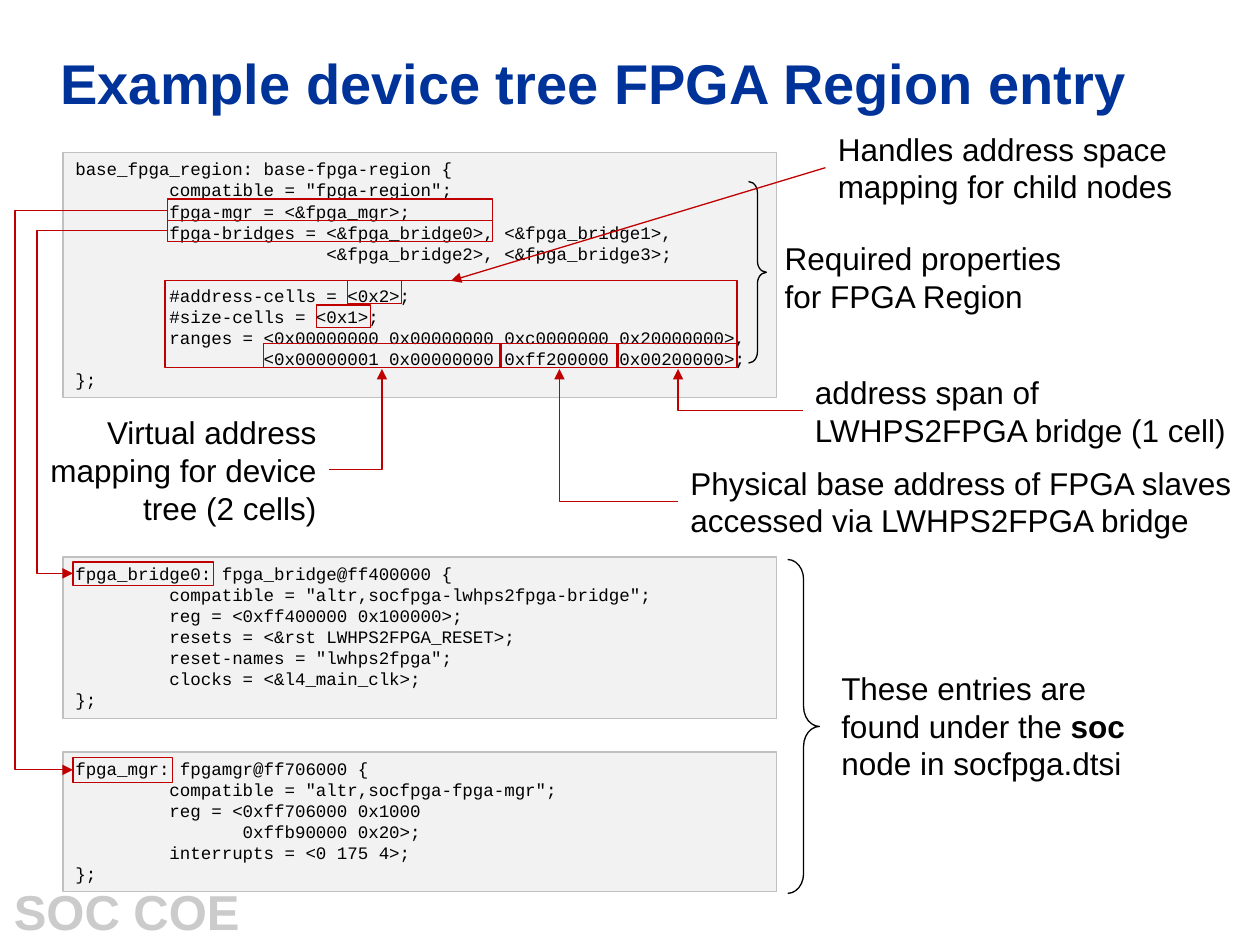
from dataclasses import dataclass

from lxml.etree import SubElement
from pptx import Presentation
from pptx.dml.color import RGBColor
from pptx.enum.shapes import MSO_CONNECTOR, MSO_SHAPE
from pptx.enum.text import MSO_ANCHOR, PP_ALIGN
from pptx.oxml.ns import qn
from pptx.util import Cm, Pt


@dataclass(frozen=True)
class Theme:
    title: str = "003399"
    text: str = "000000"
    footer: str = "CBCBCB"
    panel: str = "F2F2F2"
    panel_line: str = "C0C0C0"
    accent: str = "C00000"
    font: str = "Arial"
    code_font: str = "Courier New"
    title_size: int = 32
    footer_size: int = 28
    note_size: int = 18
    code_size: int = 10
    line_width: float = 0.75


THEME = Theme()

REGION_CODE = """\
base_fpga_region: base-fpga-region {
         compatible = "fpga-region";
         fpga-mgr = <&fpga_mgr>;
         fpga-bridges = <&fpga_bridge0>, <&fpga_bridge1>,
                        <&fpga_bridge2>, <&fpga_bridge3>;

         #address-cells = <0x2>;
         #size-cells = <0x1>;
         ranges = <0x00000000 0x00000000 0xc0000000 0x20000000>,
                  <0x00000001 0x00000000 0xff200000 0x00200000>;
};"""

BRIDGE_CODE = """\
fpga_bridge0: fpga_bridge@ff400000 {
         compatible = "altr,socfpga-lwhps2fpga-bridge";
         reg = <0xff400000 0x100000>;
         resets = <&rst LWHPS2FPGA_RESET>;
         reset-names = "lwhps2fpga";
         clocks = <&l4_main_clk>;
};"""

MGR_CODE = """\
fpga_mgr: fpgamgr@ff706000 {
         compatible = "altr,socfpga-fpga-mgr";
         reg = <0xff706000 0x1000
                0xffb90000 0x20>;
         interrupts = <0 175 4>;
};"""

# Left, top, width, height in centimetres
FRAMES = [
    (3.38, 4.01, 6.55, 0.43),    # fpga-mgr
    (3.38, 4.44, 6.55, 0.43),    # fpga-bridges
    (3.33, 5.66, 11.53, 1.75),   # address mapping
    (7.01, 5.66, 1.09, 0.46),    # address cells
    (6.38, 6.15, 1.09, 0.46),    # size cells
    (5.31, 6.93, 4.8, 0.48),     # virtual address
    (10.08, 6.93, 2.36, 0.48),   # physical base
    (12.47, 6.93, 2.39, 0.48),   # span
    (1.47, 11.33, 2.84, 0.48),   # fpga_bridge0 label
    (1.47, 15.27, 2.01, 0.51),   # fpga_mgr label
]

# Start x, start y, end x, end y; each runs sideways, then up
CORNER_ARROWS = [
    (16.18, 8.28, 13.67, 7.44),
    (13.67, 10.11, 11.28, 7.44),
    (6.63, 9.47, 7.7, 7.44),
]

# Ends as above, and how far left the arrow swings as a share of its width
LOOP_ARROWS = [
    ((3.38, 4.65, 1.47, 11.56), 1.38),
    ((3.38, 4.24, 1.47, 15.52), 1.61),
]

NOTES = [
    ((15.57, 4.7, 6.65, 1.8), "Required properties for FPGA Region"),
    ((16.64, 2.49, 7.42, 1.8), "Handles address space mapping for child nodes"),
    ((13.67, 9.22, 11.53, 1.8),
     "Physical base address of FPGA slaves accessed via LWHPS2FPGA bridge"),
    ((16.18, 7.39, 8.99, 1.8), "address span of LWHPS2FPGA bridge (1 cell)"),
]


def cm(values):
    return [Cm(v) for v in values]


def rgb(value):
    return RGBColor.from_string(value)


def set_font(font, name, size, color, bold=False):
    font.name, font.size, font.bold = name, Pt(size), bold
    font.color.rgb = rgb(color)


def set_line(line, color):
    line.color.rgb = rgb(color)
    line.width = Pt(THEME.line_width)


def add_shape(slide, kind, box, line, fill=None):
    s = slide.shapes.add_shape(kind, *cm(box))
    s.shadow.inherit = False
    if fill:
        s.fill.solid()
        s.fill.fore_color.rgb = rgb(fill)
    else:
        s.fill.background()
    set_line(s.line, line)
    return s


def add_code(slide, top, height, code):
    s = add_shape(slide, MSO_SHAPE.RECTANGLE, (1.27, top, 14.38, height),
                  THEME.panel_line, THEME.panel)
    tf = s.text_frame
    tf.word_wrap = True
    tf.vertical_anchor = MSO_ANCHOR.TOP
    for i, line in enumerate(code.split("\n")):
        p = tf.add_paragraph() if i else tf.paragraphs[0]
        p.text = line
        p.alignment = PP_ALIGN.LEFT
        set_font(p.font, THEME.code_font, THEME.code_size, THEME.text)


def add_brace(slide, box):
    s = add_shape(slide, MSO_SHAPE.RIGHT_BRACE, box, THEME.text)
    s.adjustments[0] = 0.625


def add_text(slide, box, runs, size=THEME.note_size, color=THEME.text,
             bold=False, align=PP_ALIGN.LEFT, wrap=True):
    """Place one paragraph; every second run is bold."""
    tf = slide.shapes.add_textbox(*cm(box)).text_frame
    tf.word_wrap = wrap
    p = tf.paragraphs[0]
    p.alignment = align
    set_font(p.font, THEME.font, size, color, bold)
    for i, text in enumerate(runs):
        r = p.add_run()
        r.text = text
        if i % 2:
            r.font.bold = True


def add_arrow(slide, ends, preset=None, swing=None):
    kind = MSO_CONNECTOR.ELBOW if preset else MSO_CONNECTOR.STRAIGHT
    s = slide.shapes.add_connector(kind, *cm(ends))
    set_line(s.line, THEME.accent)
    pr = s._element.spPr
    if preset:
        geom = pr.find(qn("a:prstGeom"))
        geom.set("prst", preset)
        if swing:
            SubElement(geom.find(qn("a:avLst")), qn("a:gd"), name="adj1",
                       fmla=f"val {round(swing * 100000)}")
    SubElement(pr.find(qn("a:ln")), qn("a:tailEnd"), type="triangle")
    SubElement(pr, qn("a:effectLst"))


def main():
    prs = Presentation()
    prs.slide_width, prs.slide_height = Cm(25.4), Cm(19.05)
    slide = prs.slides.add_slide(prs.slide_layouts[6])

    # Footer and title
    add_text(slide, (0, 17.65, 5.11, 1.45), ["SOC COE"], THEME.footer_size,
             THEME.footer, True, PP_ALIGN.CENTER, wrap=False)
    add_text(slide, (0.97, 0.86, 23.14, 1.6),
             ["Example device tree FPGA Region entry"],
             THEME.title_size, THEME.title, True)

    # Code panels
    add_code(slide, 3.07, 4.95, REGION_CODE)
    add_code(slide, 11.23, 3.25, BRIDGE_CODE)
    add_code(slide, 15.16, 2.82, MGR_CODE)

    # Braces and highlight frames
    add_brace(slide, (15.09, 3.66, 0.36, 3.66))
    add_brace(slide, (15.88, 11.28, 0.64, 6.73))
    for box in FRAMES:
        add_shape(slide, MSO_SHAPE.RECTANGLE, box, THEME.accent)

    # Arrows
    add_arrow(slide, (16.64, 3.38, 9.09, 5.66))
    for ends in CORNER_ARROWS:
        add_arrow(slide, ends, "bentConnector2")
    for ends, swing in LOOP_ARROWS:
        add_arrow(slide, ends, "bentConnector3", swing)

    # Notes
    for box, text in NOTES:
        add_text(slide, box, [text])
    add_text(slide, (16.71, 13.36, 6.68, 2.57),
             ["These entries are found under the ", "soc",
              " node in socfpga.dtsi"])
    add_text(slide, (0.64, 8.2, 5.99, 2.57),
             ["Virtual address mapping for device tree (2 cells)"],
             align=PP_ALIGN.RIGHT)

    prs.save("out.pptx")


if __name__ == "__main__":
    main()
